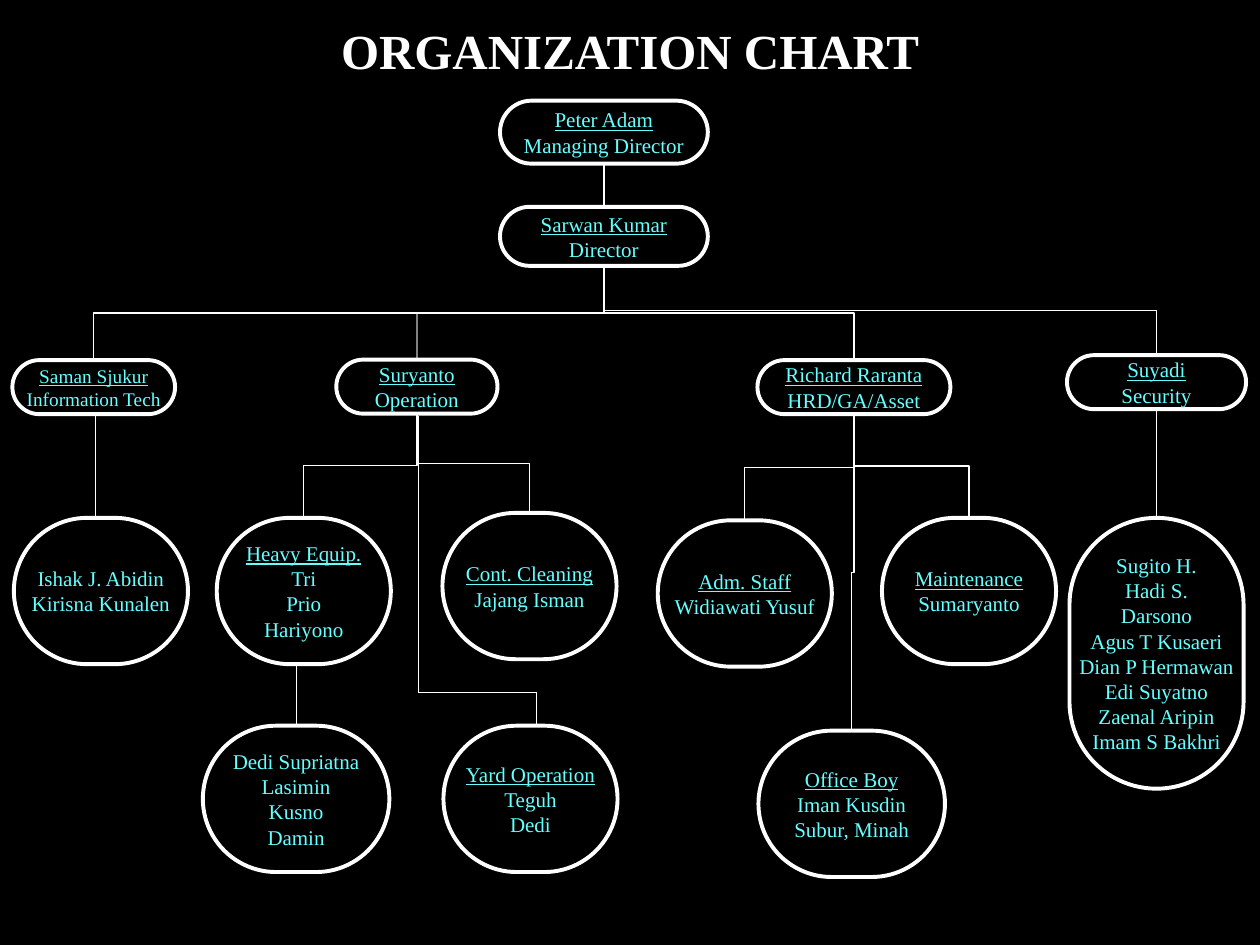
from pptx import Presentation
from pptx.dml.color import RGBColor
from pptx.enum.shapes import MSO_CONNECTOR as Link, MSO_SHAPE as Shape
from pptx.enum.text import MSO_ANCHOR as Anchor, MSO_AUTO_SIZE as AutoSize, PP_ALIGN as Align
from pptx.oxml.ns import qn
from pptx.util import Cm, Pt

COLORS = {"background": "000000", "line": "FFFFFF", "title": "FFFFFF",
          "text": "66FFFF", "faint": "808080"}
FONT = "Times New Roman"

STAFF = (3.51, 2.95)
WIDE_STAFF = (3.76, 2.95)

# key: left, top, (width, height) in cm, lines, first line is a heading
UNITS = {
    "managing": (10.08, 2.03, (4.19, 1.27), ["Peter Adam", "Managing Director"], True),
    "director": (10.08, 4.17, (4.19, 1.19), ["Sarwan Kumar", "Director"], True),
    "it": (0.25, 7.26, (3.28, 1.09), ["Saman Sjukur", "Information Tech"], True),
    "security": (21.51, 7.16, (3.61, 1.09), ["Suyadi", "Security"], True),
    "hrd": (15.27, 7.26, (3.89, 1.09), ["Richard Raranta", "HRD/GA/Asset"], True),
    "operation": (6.78, 7.25, (3.25, 1.09), ["Suryanto", "Operation"], True),
    "it_staff": (0.28, 10.44, STAFF, ["Ishak J. Abidin", "Kirisna Kunalen"], False),
    "heavy": (4.37, 10.44, STAFF, ["Heavy Equip.", "Tri", "Prio", "Hariyono"], True),
    "cleaning": (8.92, 10.34, STAFF, ["Cont. Cleaning", "Jajang Isman"], True),
    "heavy_staff": (4.09, 14.63, WIDE_STAFF,
                    ["Dedi Supriatna", "Lasimin", "Kusno", "Damin"], False),
    "yard": (8.94, 14.63, STAFF, ["Yard Operation", "Teguh", "Dedi"], True),
    "admin": (13.26, 10.49, STAFF, ["Adm. Staff", "Widiawati Yusuf"], True),
    "maintenance": (17.78, 10.44, STAFF, ["Maintenance", "Sumaryanto"], True),
    "office_boy": (15.29, 14.73, WIDE_STAFF,
                   ["Office Boy", "Iman Kusdin", "Subur, Minah"], True),
    "guards": (21.56, 10.44, (3.51, 5.46),
               ["Sugito H.", "Hadi S.", "Darsono", "Agus T Kusaeri", "Dian P Hermawan",
                "Edi Suyatno", "Zaenal Aripin", "Imam S Bakhri"], False),
}
SMALL_TEXT = {"it": 11}

# (unit, its superior)
REPORTS = [
    ("guards", "security"), ("office_boy", "hrd"), ("maintenance", "hrd"),
    ("admin", "hrd"), ("cleaning", "operation"), ("heavy", "operation"),
    ("operation", "director"), ("hrd", "director"), ("security", "director"),
    ("it", "director"), ("director", "managing"),
]
FAINT_REPORTS = {"operation"}

# x1, y1, x2, y2 in cm
STRAIGHT_LINES = [
    (1.93, 8.38, 1.93, 10.41),      # information tech to its staff
    (8.43, 8.38, 8.43, 13.96),      # operation to yard operation
    (8.43, 13.96, 10.82, 13.96),
    (10.82, 13.96, 10.82, 14.63),
    (5.97, 13.41, 5.97, 14.63),     # heavy equipment to its staff
]


def rgb(name):
    return RGBColor.from_string(COLORS[name])


def write_text(frame, lines, size=12, color="text", bold=False, heading=False, wrap=False):
    frame.auto_size = AutoSize.NONE
    frame.word_wrap = wrap
    frame.vertical_anchor = Anchor.MIDDLE
    frame.margin_left = frame.margin_right = frame.margin_top = frame.margin_bottom = 0
    for index, line in enumerate(lines):
        paragraph = frame.paragraphs[0] if index == 0 else frame.add_paragraph()
        paragraph.alignment = Align.CENTER
        run = paragraph.add_run()
        run.text = line
        run.font.name = FONT
        run.font.size = Pt(size)
        run.font.bold = bold
        run.font.underline = heading and index == 0
        run.font.color.rgb = rgb(color)


def add_title(slide, text):
    title = slide.shapes.title
    title.left, title.top, title.width, title.height = Cm(0.25), Cm(0.25), Cm(24.9), Cm(1.52)
    write_text(title.text_frame, [text], size=28, color="title", bold=True, wrap=True)


def add_unit(slide, key):
    left, top, (width, height), lines, heading = UNITS[key]
    unit = slide.shapes.add_shape(Shape.ROUNDED_RECTANGLE,
                                  Cm(left), Cm(top), Cm(width), Cm(height))
    unit.adjustments[0] = 0.5
    unit.shadow.inherit = False
    unit.fill.background()
    unit.line.color.rgb = rgb("line")
    unit.line.width = Pt(2.25)
    write_text(unit.text_frame, lines, size=SMALL_TEXT.get(key, 12), heading=heading)


def add_line(slide, x1, y1, x2, y2, kind=Link.STRAIGHT, color="line"):
    line = slide.shapes.add_connector(kind, Cm(x1), Cm(y1), Cm(x2), Cm(y2))
    line.line.color.rgb = rgb(color)
    line.line.width = Pt(0.75)
    properties = line._element.spPr
    properties.append(properties.makeelement(qn("a:effectLst"), {}))
    return line


def add_report(slide, unit, superior):
    """Join the top of a unit to the bottom of its superior."""
    left, top, (width, _), *_ = UNITS[unit]
    boss_left, boss_top, (boss_width, boss_height), *_ = UNITS[superior]
    x, y = left + width / 2, top
    boss_x, boss_y = boss_left + boss_width / 2, boss_top + boss_height
    color = "faint" if unit in FAINT_REPORTS else "line"
    if abs(x - boss_x) < 0.01:
        add_line(slide, x, y, boss_x, boss_y, color=color)
        return
    # An elbow leaves sideways, so it is laid flat about its centre and then turned
    mid_x, mid_y = (x + boss_x) / 2, (y + boss_y) / 2
    half_run, half_rise = (y - boss_y) / 2, abs(x - boss_x) / 2
    turn, side = (90, 1) if x < boss_x else (270, -1)
    elbow = add_line(slide, mid_x + side * half_run, mid_y + half_rise,
                     mid_x - side * half_run, mid_y - half_rise, Link.ELBOW, color)
    elbow._element.spPr.xfrm.set("rot", str(turn * 60000))


def main():
    prs = Presentation()
    prs.slide_width, prs.slide_height = Cm(25.4), Cm(19.05)
    slide = prs.slides.add_slide(prs.slide_layouts[5])
    slide.background.fill.solid()
    slide.background.fill.fore_color.rgb = rgb("background")

    add_title(slide, "ORGANIZATION CHART")
    for unit, superior in REPORTS:
        add_report(slide, unit, superior)
    for key in UNITS:
        add_unit(slide, key)
    for ends in STRAIGHT_LINES:
        add_line(slide, *ends)

    prs.save("out.pptx")


if __name__ == "__main__":
    main()
